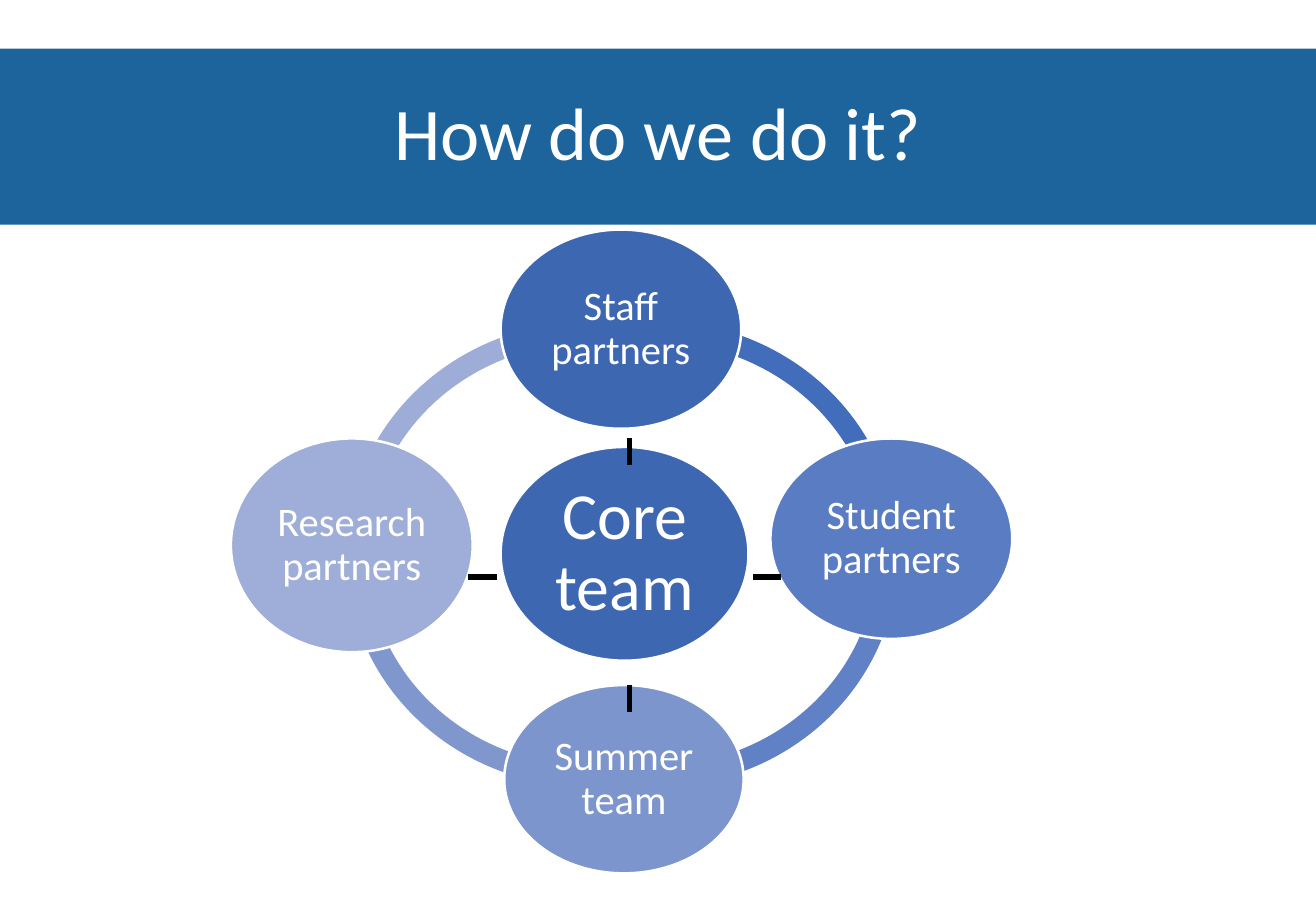
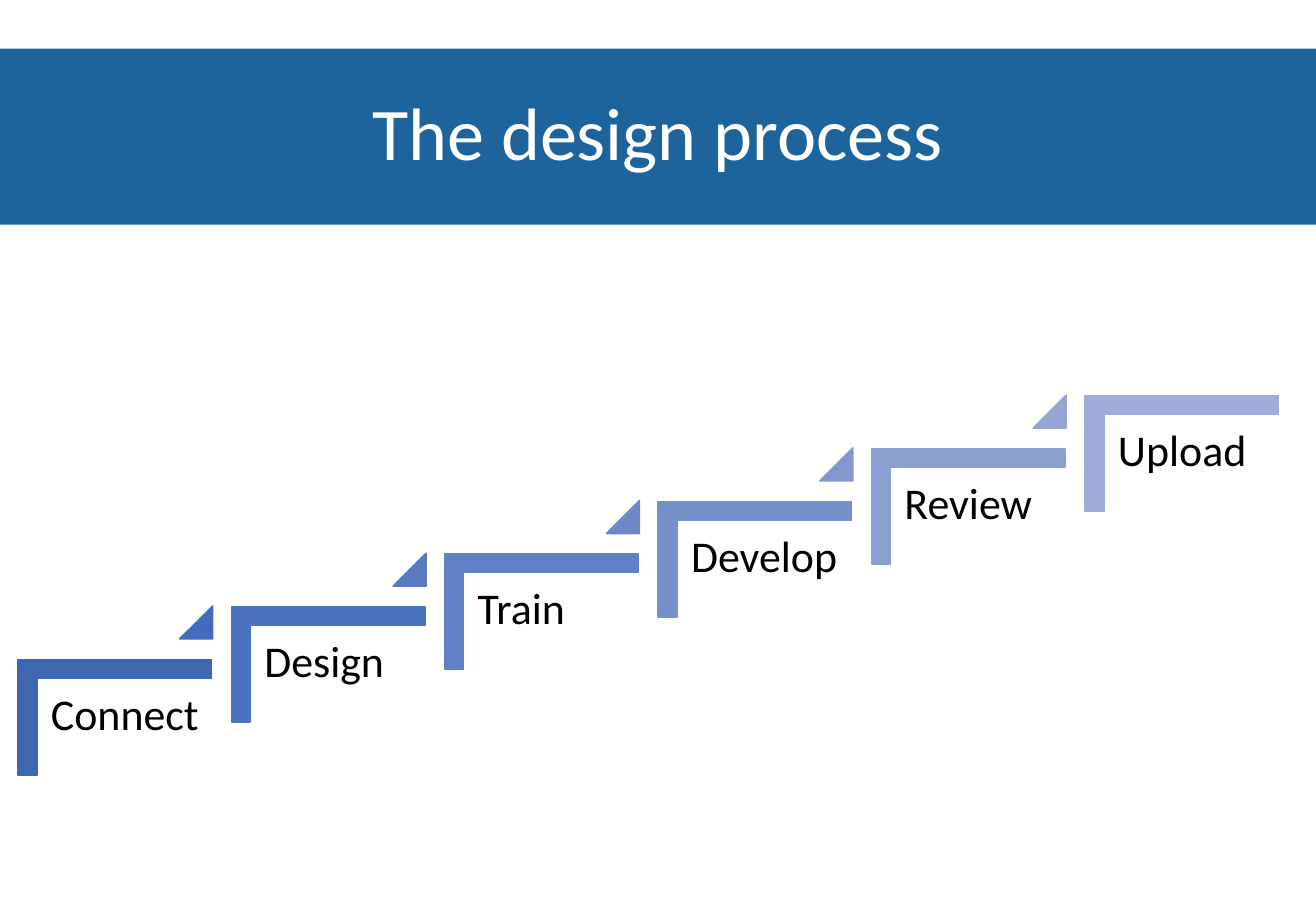
from lxml import etree
from pptx import Presentation
from pptx import util as u
from pptx.dml.color import RGBColor
from pptx.enum import shapes, text
from pptx.oxml import ns

PX = 9144
FONT = "Calibri"
KIND = shapes.MSO_SHAPE
COLORS = {
    "band": "1D649D", "white": "FFFFFF", "black": "000000",
    "core": "3E67B2", "staff": "3E67B2", "student": "5A7CC3",
    "summer": "7D95CD", "research": "9FAED8",
    "arc_research": "9EADD8", "arc_summer": "8097CE",
    "arc_student": "6081C5", "arc_staff": "416DBB",
    "step1": "3E67B2", "rise1": "426CBB", "step2": "4C73BF", "rise2": "577AC2",
    "step3": "6181C5", "rise3": "6C88C8", "step4": "7690CB", "rise4": "8197CE",
    "step5": "8B9FD1", "rise5": "95A6D5", "step6": "9FAED8",
}
TITLE_BOX = (0, 40, 1083, 145)
RING_BOX = (190, 189)
STAIRS_BOX = (15, 326, 1037, 312)

ARCS = [
    ("arc_research", 95, 76, 181.67, 277.54),
    ("arc_summer", 95, 79, 81.57, 182.79),
    ("arc_student", 149, 79, 355.68, 97.42),
    ("arc_staff", 149, 75, 261.79, 356.75),
]
CIRCLES = [
    ("core", "Core team", 222, 179, 204, 176, 39),
    ("staff", "Staff partners", 222, 0, 198, 164, 24),
    ("student", "Student partners", 444, 172, 199, 165, 24),
    ("summer", "Summer team", 225, 375, 197, 155, 24),
    ("research", "Research partners", 0, 172, 199, 176, 24),
]
LINKS = [
    (328, 172, 328, 194),
    (453, 286, 430, 286),
    (328, 375, 328, 397),
    (219, 286, 195, 286),
]
STEPS = ["Connect", "Design", "Train", "Develop", "Review", "Upload"]


def px(*lengths):
    return [round(n * PX) for n in lengths]


def color(name):
    return RGBColor.from_string(COLORS[name])


def write(sp, words, size, ink, align, anchor, insets):
    tf = sp.text_frame
    tf.word_wrap = True
    tf.auto_size = text.MSO_AUTO_SIZE.NONE
    tf.vertical_anchor = anchor
    tf.margin_left, tf.margin_top, tf.margin_right, tf.margin_bottom = px(*insets)
    p = tf.paragraphs[0]
    p.text = words
    p.alignment = align
    p.line_spacing = 0.9
    p.font.name, p.font.size = FONT, u.Pt(size)
    p.font.color.rgb = color(ink)


def add_shape(s, kind, box, fill, line=None, width=1, adjust=()):
    sp = s.shapes.add_shape(kind, *px(*box))
    sp.shadow.inherit = False
    sp.fill.solid()
    sp.fill.fore_color.rgb = color(fill)
    if line:
        sp.line.color.rgb = color(line)
        sp.line.width = u.Pt(width)
    else:
        sp.line.fill.background()
    for i, value in enumerate(adjust):
        sp.adjustments[i] = value
    return sp


def add_link(s, ends):
    c = s.shapes.add_connector(shapes.MSO_CONNECTOR.STRAIGHT, *px(*ends))
    c.line.color.rgb = color("black")
    c.line.width = u.Pt(3)
    etree.SubElement(c._element.spPr, ns.qn("a:effectLst"))


def add_titled_slide(prs, title):
    s = prs.slides.add_slide(prs.slide_layouts[5])
    sp = s.shapes.title
    sp.left, sp.top, sp.width, sp.height = px(*TITLE_BOX)
    sp.fill.solid()
    sp.fill.fore_color.rgb = color("band")
    write(sp, title, 44, "white", text.PP_ALIGN.CENTER,
          text.MSO_ANCHOR.MIDDLE, (10, 5, 10, 5))
    return s


def draw_ring(s, box):
    x, y = box
    for name, dx, dy, start, end in ARCS:
        add_shape(s, KIND.BLOCK_ARC, (x + dx, y + dy, 400, 380), name,
                  adjust=(start * 0.6, end * 0.6, 0.046))
    for name, words, dx, dy, w, h, size in CIRCLES:
        sp = add_shape(s, KIND.OVAL, (x + dx, y + dy, w, h), name, "white", 1.5)
        write(sp, words, size, "white", text.PP_ALIGN.CENTER,
              text.MSO_ANCHOR.MIDDLE, (3, 3, 3, 3))
    for x1, y1, x2, y2 in LINKS:
        add_link(s, (x + x1, y + y1, x + x2, y + y2))


def draw_step(s, x, y, w, h, number, words):
    step, rise = f"step{number}", f"rise{number}"
    turn = (w - h) / 2
    corner = add_shape(s, KIND.CORNER, (x + turn, y - turn, h, w), step, step,
                       adjust=(0.161, 0.161))
    corner.rotation = 90
    label = s.shapes.add_textbox(*px(x + 16, y + 16, w - 16, 126))
    write(label, words, 26, "black", text.PP_ALIGN.LEFT,
          text.MSO_ANCHOR.TOP, (11, 11, 0, 11))
    if rise in COLORS:
        add_shape(s, KIND.ISOSCELES_TRIANGLE, (x + w - 26, y - 44, 27, 27),
                  rise, rise, adjust=(1,))


def draw_stairs(s, box):
    x, y, w, h = box
    step_w, step_h = 159, 95
    gaps = len(STEPS) - 1
    dx, dy = (w - step_w) / gaps, (h - step_h) / gaps
    for i, words in enumerate(STEPS):
        draw_step(s, x + i * dx, y + (gaps - i) * dy, step_w, step_h, i + 1, words)


def main():
    prs = Presentation()
    prs.slide_width, prs.slide_height = px(1083, 750)
    draw_ring(add_titled_slide(prs, "How do we do it?"), RING_BOX)
    draw_stairs(add_titled_slide(prs, "The design process"), STAIRS_BOX)
    prs.save("out.pptx")


if __name__ == "__main__":
    main()
